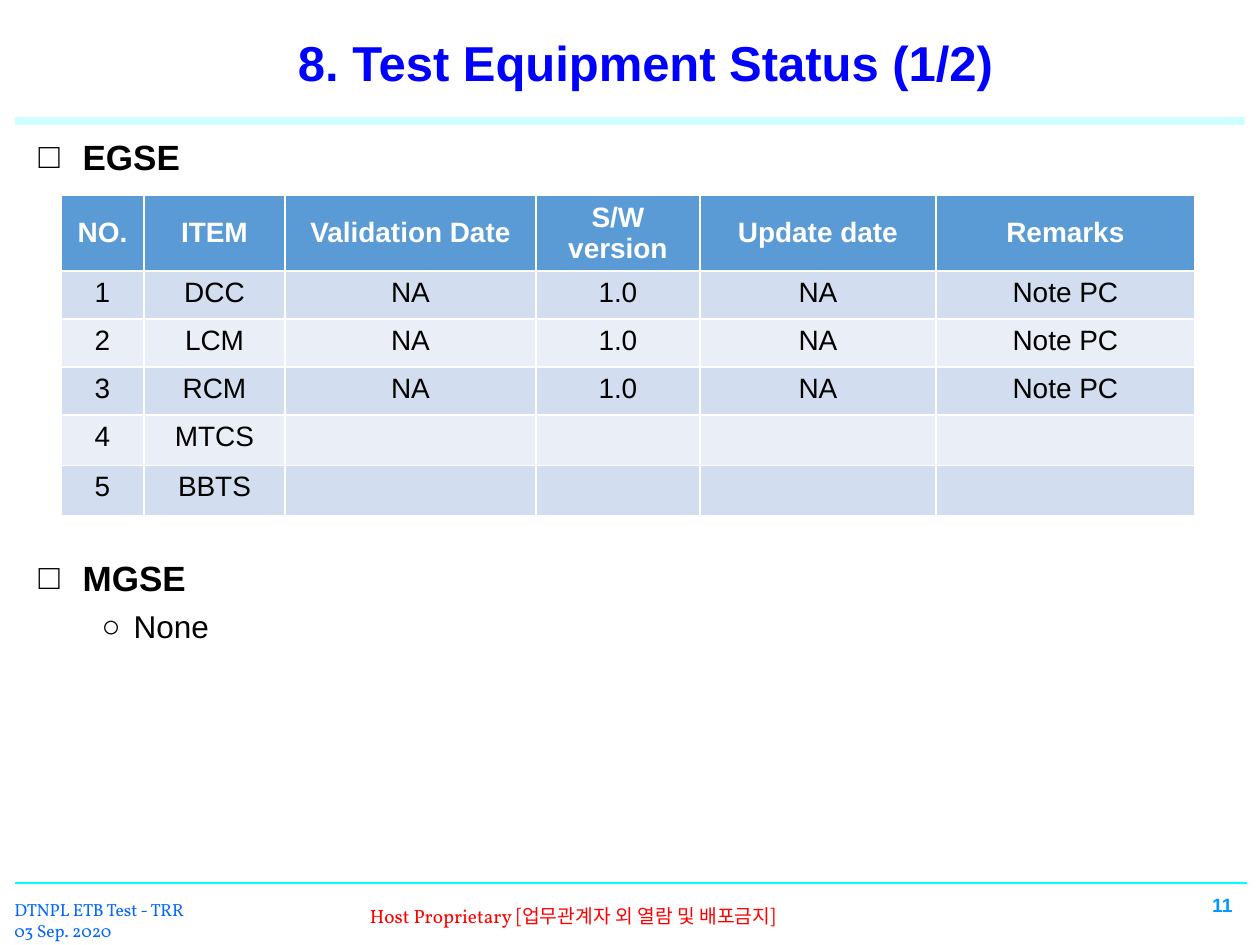
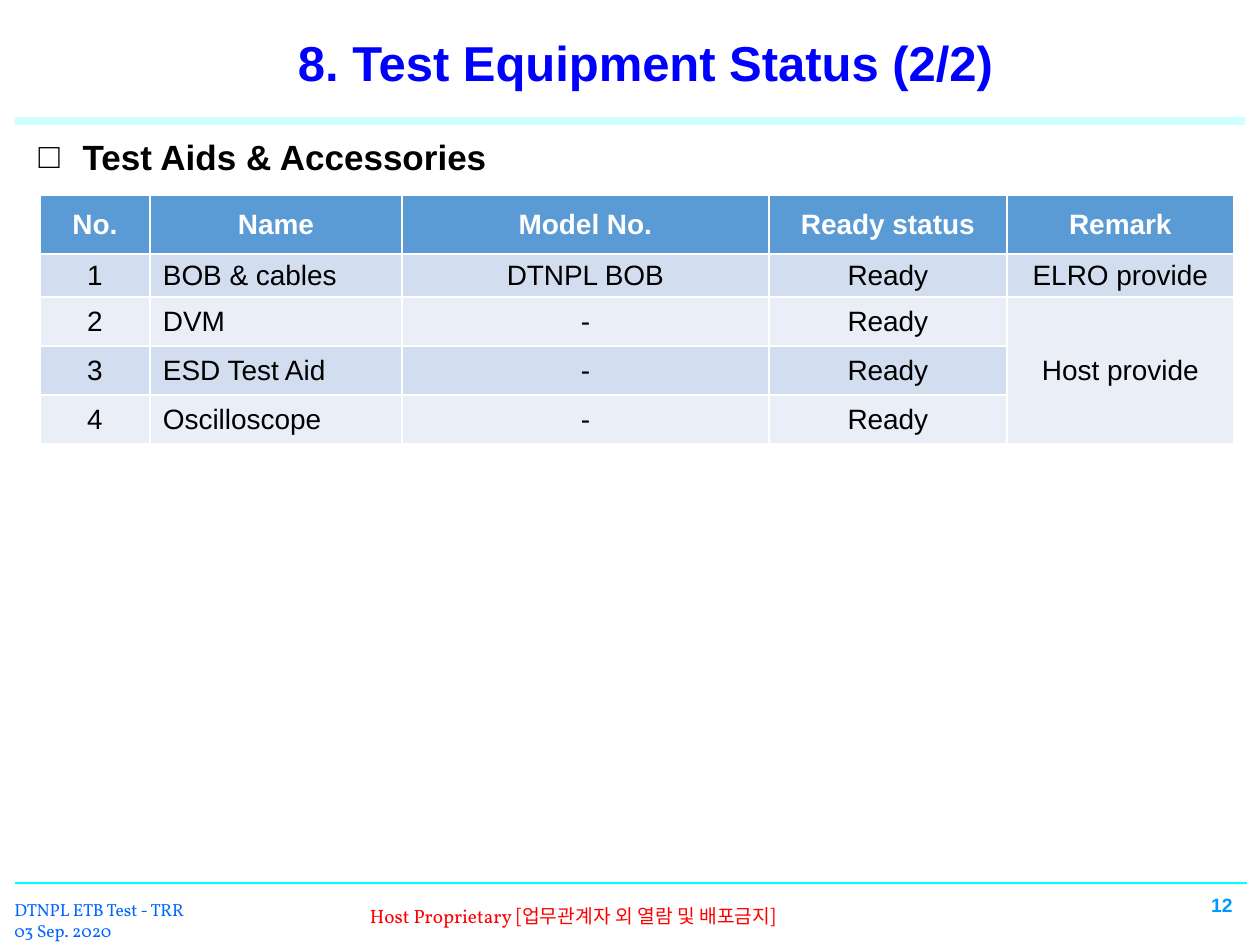
from lxml.etree import SubElement
from pptx import Presentation
from pptx.dml.color import RGBColor
from pptx.enum.shapes import MSO_CONNECTOR as CONN
from pptx.enum.text import MSO_ANCHOR as ANC, MSO_AUTO_SIZE as AUTO, PP_ALIGN as AL
from pptx.oxml.ns import qn
from pptx.util import Pt

PX = 914400 // 126
WHITE, BLACK, CYAN = "FFFFFF", "000000", "00FFFF"
TITLE, DATE, NOTICE, NUMBER = "0000FF", "0066FF", "FF0000", "0099FF"
HEAD, BANDS = "5B9BD5", ["D2DEEF", "EAEFF7"]
KOREAN = "Noto Sans CJK KR"


def rgb(value):
    return RGBColor.from_string(value)


def add_run(p, text, size, color, bold=False, font="Arial"):
    r = p.add_run()
    r.text = text
    r.font.size = Pt(size)
    r.font.bold = bold
    r.font.name = font
    r.font.color.rgb = rgb(color)
    if font == KOREAN:
        SubElement(r.font._element, qn("a:ea"), typeface=font)


levels = [
    dict(size=20, bold=True, margin=44, hang=44, bullet="□"),
    dict(size=18, bold=False, margin=95, hang=32, bullet="○"),
]
rules = [(121, 1245, 4.5, 18), (883, 1247, 1.5, 100)]
slides = [
    dict(
        title="8. Test Equipment Status (1/2)", number="11",
        body=[("EGSE", 0, 6), ("MGSE", 0, 217), ("None", 1, 5)],
        left=61, cols=[83, 141, 251, 164, 236, 259], heights=[76] + [48] * 5,
        inset=6, anchor=ANC.TOP, left_col=None, merge=None,
        rows=[
            ["NO.", "ITEM", "Validation Date", "S/W version", "Update date", "Remarks"],
            ["1", "DCC", "NA", "1.0", "NA", "Note PC"],
            ["2", "LCM", "NA", "1.0", "NA", "Note PC"],
            ["3", "RCM", "NA", "1.0", "NA", "Note PC"],
            ["4", "MTCS", "", "", "", ""],
            ["5", "BBTS", "", "", "", ""],
        ],
    ),
    dict(
        title="8. Test Equipment Status (2/2)", number="12",
        body=[("Test Aids & Accessories", 0, 6)],
        left=40, cols=[110, 252, 367, 238, 227], heights=[59, 43] + [49] * 3,
        inset=13, anchor=ANC.MIDDLE, left_col=1, merge=(2, 4, 4, 4),
        rows=[
            ["No.", "Name", "Model No.", "Ready status", "Remark"],
            ["1", "BOB & cables", "DTNPL BOB", "Ready", "ELRO provide"],
            ["2", "DVM", "-", "Ready", "Host provide"],
            ["3", "ESD Test Aid", "-", "Ready", ""],
            ["4", "Oscilloscope", "-", "Ready", ""],
        ],
    ),
]

prs = Presentation()
prs.slide_width, prs.slide_height = 1260 * PX, 945 * PX

for data in slides:
    s = prs.slides.add_slide(prs.slide_layouts[1])

    for y, right, width, alpha in rules:
        line = s.shapes.add_connector(CONN.STRAIGHT, 15 * PX, y * PX, right * PX, y * PX)
        line.line.color.rgb = rgb(CYAN)
        line.line.width = Pt(width)
        color = line.line.fill._xPr.find(qn("a:solidFill"))[0]
        SubElement(color, qn("a:alpha"), val=str(alpha * 1000))
        SubElement(line._element.spPr, qn("a:effectLst"))

    sp = s.shapes.title
    sp.left, sp.top, sp.width, sp.height = 194 * PX, 16 * PX, 903 * PX, 100 * PX
    tf = sp.text_frame
    tf.auto_size = AUTO.NONE
    tf.vertical_anchor = ANC.MIDDLE
    p = tf.paragraphs[0]
    p.alignment = AL.CENTER
    p.line_spacing = 0.9
    add_run(p, data["title"], 28, TITLE, True)

    sp = s.placeholders[1]
    sp.left, sp.top, sp.width, sp.height = 26 * PX, 135 * PX, 1211 * PX, 738 * PX
    tf = sp.text_frame
    tf.auto_size = AUTO.NONE
    tf.margin_top = 0
    for i, (text, level, before) in enumerate(data["body"]):
        style = levels[level]
        p = tf.add_paragraph() if i else tf.paragraphs[0]
        p.level = level
        p.space_before = Pt(before)
        pPr = p._p.get_or_add_pPr()
        pPr.set("marL", str(style["margin"] * PX))
        pPr.set("indent", str(-style["hang"] * PX))
        SubElement(pPr, qn("a:buChar"), char=style["bullet"])
        add_run(p, text, style["size"], BLACK, style["bold"])

    cols, heights, rows = data["cols"], data["heights"], data["rows"]
    table = s.shapes.add_table(len(rows), len(cols), data["left"] * PX, 195 * PX,
                               sum(cols) * PX, sum(heights) * PX).table
    for col, width in zip(table.columns, cols):
        col.width = width * PX
    for row, height in zip(table.rows, heights):
        row.height = height * PX
    for i, row in enumerate(rows):
        for j, text in enumerate(row):
            cell = table.cell(i, j)
            cell.fill.solid()
            cell.fill.fore_color.rgb = rgb(BANDS[(i - 1) % 2] if i else HEAD)
            cell.margin_left = cell.margin_right = data["inset"] * PX
            cell.margin_top = cell.margin_bottom = 6 * PX
            cell.vertical_anchor = data["anchor"] if i else ANC.MIDDLE
            p = cell.text_frame.paragraphs[0]
            p.alignment = AL.LEFT if i and j == data["left_col"] else AL.CENTER
            if text:
                add_run(p, text, 16, BLACK if i else WHITE, not i)
    if data["merge"]:
        top, first, bottom, last = data["merge"]
        table.cell(top, first).merge(table.cell(bottom, last))

    tf = s.shapes.add_textbox(292 * PX, 898 * PX, 784 * PX, 37 * PX).text_frame
    tf.word_wrap = True
    tf.margin_left = 78 * PX
    p = tf.paragraphs[0]
    add_run(p, "Host Proprietary ", 11, NOTICE, font="Vollkorn")
    add_run(p, "[업무관계자 외 열람 및 배포금지]", 11, NOTICE, font=KOREAN)

    tf = s.shapes.add_textbox(2 * PX, 893 * PX, 209 * PX, 55 * PX).text_frame
    tf.word_wrap = True
    add_run(tf.paragraphs[0], "DTNPL ETB Test - TRR", 10, DATE, font="Vollkorn")
    add_run(tf.add_paragraph(), "03 Sep. 2020", 10, DATE, font="Vollkorn")

    tf = s.shapes.add_textbox(983 * PX, 885 * PX, 262 * PX, 44 * PX).text_frame
    tf.word_wrap = True
    tf.vertical_anchor = ANC.MIDDLE
    p = tf.paragraphs[0]
    p.alignment = AL.RIGHT
    p.line_spacing = 0.8
    add_run(p, data["number"], 11, NUMBER, True)

prs.save("out.pptx")
